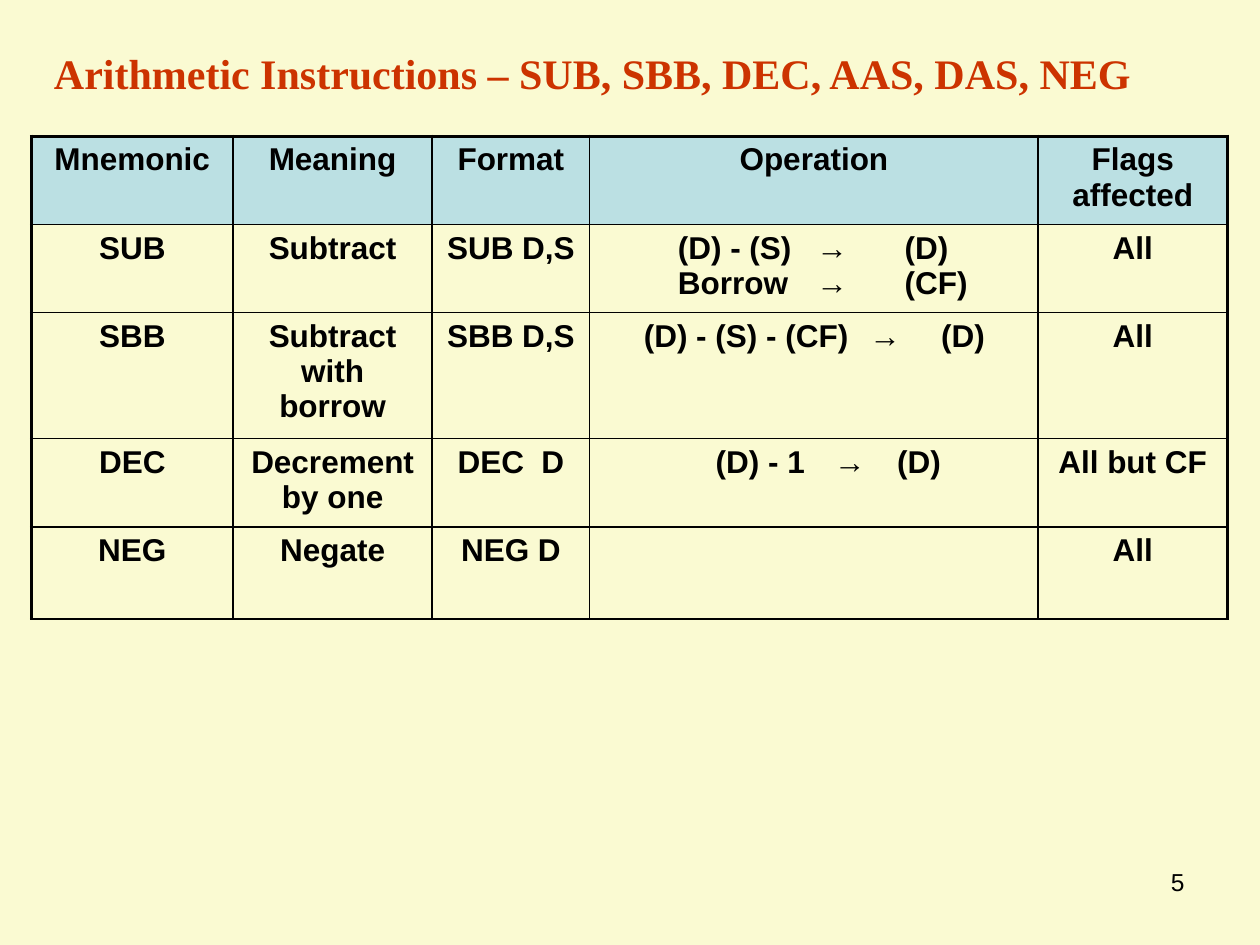
from lxml import etree
from pptx import Presentation
from pptx.dml.color import RGBColor
from pptx.enum.text import MSO_ANCHOR, PP_ALIGN
from pptx.oxml.ns import qn
from pptx.util import Inches, Pt

LEFT, CENTER, RIGHT = PP_ALIGN.LEFT, PP_ALIGN.CENTER, PP_ALIGN.RIGHT
TOP, BOTTOM = MSO_ANCHOR.TOP, MSO_ANCHOR.BOTTOM

CREAM, BLUE, RED, BLACK = "FAFAD2", "BBE0E3", "CC3300", "000000"

COLS = [1.6, 1.58, 1.25, 3.56, 1.5]
ROWS = [0.7, 0.7, 1, 0.7, 0.73]
CELLS = [
    ["Mnemonic", "Meaning", "Format", "Operation", "Flags affected"],
    ["SUB", "Subtract", "SUB D,S",
     "\t(D) - (S)\t→\t(D)\n\tBorrow\t→\t(CF)", "All"],
    ["SBB", "Subtract with borrow", "SBB D,S",
     "\t(D) - (S) - (CF)\t→\t(D)", "All"],
    ["DEC", "Decrement by one", "DEC  D", "\t(D) - 1\t→\t(D)", "All but CF"],
    ["NEG", "Negate", "NEG D", "", "All"],
]
# Tab stops of the operations, by row, in inches
STOPS = {1: [0.6, 1.7, 2.4], 2: [0.33, 2.12, 2.69], 3: [0.9, 1.84, 2.34]}


def color(code):
    return RGBColor.from_string(code)


def write(frame, text, size=18, font="Arial", ink=BLACK, bold=False,
          align=LEFT, stops=()):
    for i, line in enumerate(text.split("\n")):
        par = frame.add_paragraph() if i else frame.paragraphs[0]
        par.alignment = align
        if stops:
            tabs = etree.SubElement(par._p.get_or_add_pPr(), qn("a:tabLst"))
            for stop in stops:
                etree.SubElement(tabs, qn("a:tab"), pos=str(Inches(stop)),
                                 algn="l")
        run = par.add_run()
        run.text = line
        run.font.size = Pt(size)
        run.font.name = font
        run.font.bold = bold
        run.font.color.rgb = color(ink)


def border(cell, side, width):
    line = etree.SubElement(cell._tc.get_or_add_tcPr(), qn("a:ln" + side),
                            w=str(Pt(width)))
    fill = etree.SubElement(line, qn("a:solidFill"))
    etree.SubElement(fill, qn("a:srgbClr"), val=BLACK)


class Deck:
    def __init__(self):
        self.prs = Presentation()
        self.prs.slide_width = Inches(10)
        self.prs.slide_height = Inches(7.5)
        self.slide = self.prs.slides.add_slide(self.prs.slide_layouts[6])
        fill = self.slide.background.fill
        fill.solid()
        fill.fore_color.rgb = color(CREAM)

    def text(self, x, y, w, h, text, anchor=TOP, **style):
        box = self.slide.shapes.add_textbox(*map(Inches, (x, y, w, h)))
        frame = box.text_frame
        frame.word_wrap = True
        frame.vertical_anchor = anchor
        write(frame, text, **style)

    def table(self, x, y, cols, rows, cells):
        shape = self.slide.shapes.add_table(
            len(rows), len(cols), Inches(x), Inches(y),
            Inches(sum(cols)), Inches(sum(rows)))
        table = shape.table
        table.first_row = table.horz_banding = False
        for col, width in zip(table.columns, cols):
            col.width = Inches(width)
        for row, height in zip(table.rows, rows):
            row.height = Inches(height)
        for r, line in enumerate(cells):
            for c, text in enumerate(line):
                self.cell(table.cell(r, c), text, r, c, len(cols) - 1)

    def cell(self, cell, text, r, c, last):
        # Thick frame on the left, right and top; thin rules elsewhere
        for side, thick in (("L", c == 0), ("R", c == last),
                            ("T", r == 0), ("B", False)):
            border(cell, side, 2 if thick else 1)
        if r == 0:
            cell.fill.solid()
            cell.fill.fore_color.rgb = color(BLUE)
        else:
            cell.fill.background()
        if text:
            tabbed = "\t" in text
            write(cell.text_frame, text, bold=True,
                  align=LEFT if tabbed else CENTER,
                  stops=STOPS[r] if tabbed else ())


def main():
    deck = Deck()
    # Title
    deck.text(0.33, 0.25, 9.42, 0.58,
              "Arithmetic Instructions – SUB, SBB, DEC, AAS, DAS, NEG",
              anchor=BOTTOM, size=24, font="Times New Roman", ink=RED,
              bold=True)
    # Instruction table
    deck.table(0.25, 1.08, COLS, ROWS, CELLS)
    # Page number
    deck.text(7.17, 6.83, 2.33, 0.52, "5", size=14, align=RIGHT)
    deck.prs.save("out.pptx")


if __name__ == "__main__":
    main()
